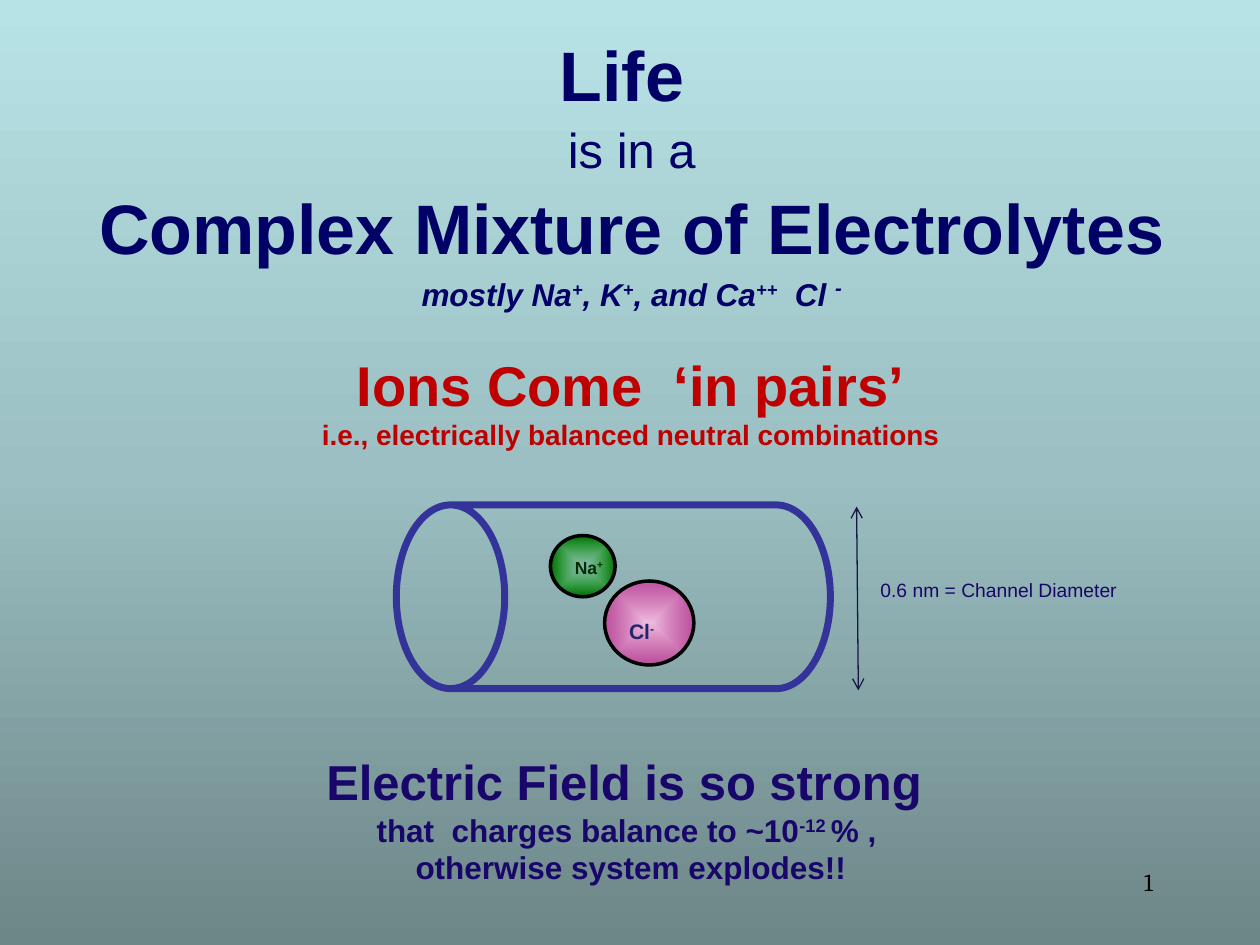
import pptx
import pptx.util
import pptx.dml.color
import pptx.enum.shapes
import pptx.enum.text
import pptx.oxml
import pptx.oxml.ns

Pt = pptx.util.Pt
Shape = pptx.enum.shapes.MSO_SHAPE
Align = pptx.enum.text.PP_ALIGN
qn = pptx.oxml.ns.qn

NAVY, RED, INDIGO, BLACK = "000066", "BE0000", "19066A", "000000"
BREAK = "\n"


def color(hex_string):
    return pptx.dml.color.RGBColor.from_string(hex_string)


def element(xml):
    """Parse a drawing element, adding the namespace to its root tag."""
    tag, rest = xml.split(" ", 1)
    return pptx.oxml.parse_xml(f"{tag} {pptx.oxml.ns.nsdecls('a')} {rest}")


def replace_with_gradient(parent, stops, direction):
    """Swap the first solid fill below parent for a gradient.

    Each stop is (position %, colour, opacity %).
    """
    stop_xml = "".join(
        f'<a:gs pos="{position * 1000}"><a:srgbClr val="{hex_string}">'
        f'<a:alpha val="{opacity * 1000}"/></a:srgbClr></a:gs>'
        for position, hex_string, opacity in stops
    )
    solid = parent.find(".//" + qn("a:solidFill"))
    gradient = element(
        f'<a:gradFill rotWithShape="1"><a:gsLst>{stop_xml}</a:gsLst>{direction}</a:gradFill>'
    )
    solid.getparent().replace(solid, gradient)


class SlideBuilder:
    font_name = "Arial"
    upward = '<a:lin ang="16200000" scaled="1"/>'
    from_center = (
        '<a:path path="shape">'
        '<a:fillToRect l="50000" t="50000" r="50000" b="50000"/></a:path>'
    )

    def __init__(self, slide):
        self.slide = slide

    def background(self, stops):
        self.slide.background.fill.solid()
        replace_with_gradient(self.slide.element, stops, self.upward)

    def text(self, box, paragraphs, base, align=Align.CENTER, line_spacing=None,
             wrap=True, margin_top=3.6):
        """Add a text box; runs are (text, changed formats), BREAK starts a new line."""
        shape = self.slide.shapes.add_textbox(*map(Pt, box))
        frame = shape.text_frame
        frame.word_wrap = wrap
        frame.margin_top = Pt(margin_top)
        for index, runs in enumerate(paragraphs):
            paragraph = frame.add_paragraph() if index else frame.paragraphs[0]
            paragraph.alignment = align
            paragraph.line_spacing = line_spacing
            for item in runs:
                if item == BREAK:
                    paragraph.add_line_break()
                else:
                    self.run(paragraph, item[0], {**base, **item[1]})

    def run(self, paragraph, text, formats):
        run = paragraph.add_run()
        run.text = text
        values = {"name": self.font_name, **formats}
        run.font.color.rgb = color(values.pop("color"))
        run.font.size = Pt(values.pop("size"))
        if values.pop("superscript", False):
            run.font._element.set("baseline", "30000")
        for name, value in values.items():
            setattr(run.font, name, value)

    def outlined(self, kind, box, line_color, line_width):
        shape = self.slide.shapes.add_shape(kind, *map(Pt, box))
        shape.shadow.inherit = False
        shape.line.color.rgb = color(line_color)
        shape.line.width = Pt(line_width)
        shape.fill.background()
        return shape

    def ion(self, box, stops):
        shape = self.outlined(Shape.OVAL, box, BLACK, 2)
        shape.fill.solid()
        replace_with_gradient(shape.element.spPr, stops, self.from_center)

    def channel(self, box):
        shape = self.outlined(Shape.CAN, box, "333399", 4)
        shape.rotation = 270
        shape.adjustments[0] = 0.59

    def double_arrow(self, start, end, line_color, line_width):
        connector = self.slide.shapes.add_connector(
            pptx.enum.shapes.MSO_CONNECTOR.STRAIGHT, *map(Pt, start + end)
        )
        connector.line.color.rgb = color(line_color)
        connector.line.width = Pt(line_width)
        outline = connector.line._get_or_add_ln()
        for tag in ("headEnd", "tailEnd"):
            outline.append(element(f'<a:{tag} type="arrow"/>'))
        connector.element.spPr.append(element("<a:effectLst />"))


def main():
    presentation = pptx.Presentation()
    presentation.slide_width, presentation.slide_height = Pt(720), Pt(540)
    builder = SlideBuilder(presentation.slides.add_slide(presentation.slide_layouts[6]))
    builder.background([(0, "6D8688", 100), (50, "9BBFC2", 100), (100, "B8E3E6", 100)])

    raised = {"superscript": True}
    builder.text((516, 492, 150, 36), [[("1", {})]],
                 {"name": "Cambria", "size": 14, "color": BLACK}, Align.RIGHT)

    electrolytes = [
        ("mostly Na", {}), ("+", raised), (", K", {}), ("+", raised),
        (", and Ca", {}), ("++", raised), ("  Cl ", {}), ("-", {"size": 20, **raised}),
    ]
    small_italic = {"size": 18, "italic": True}
    builder.text(
        (10, 11, 702, 167),
        [
            [("Life ", {}), BREAK, ("is in a", {"size": 28, "bold": False}), BREAK,
             ("Complex Mixture of Electrolytes", {})],
            [(text, {**small_italic, **formats}) for text, formats in electrolytes],
        ],
        {"size": 40, "color": NAVY, "bold": True}, line_spacing=1.07,
    )
    builder.text(
        (22, 194, 677, 65.5),
        [[("Ions Come  ‘in pairs’", {}), BREAK,
          ("i.e., electrically balanced neutral combinations", {"size": 16})]],
        {"size": 32, "color": RED, "bold": True}, margin_top=6,
    )
    builder.text(
        (75, 423, 571, 85),
        [[("Electric Field is so strong ", {"size": 28}), BREAK,
          ("that  charges balance to ~10", {}), ("-12 ", raised), ("% , ", {}), BREAK,
          ("otherwise system explodes!!", {})]],
        {"size": 18, "color": INDIGO, "bold": True}, margin_top=6.6,
    )

    builder.ion((345.5, 332, 51, 48), [(0, "EFBFDF", 100), (100, "CC3399", 75)])
    builder.text(
        (350.5, 314.5, 44.5, 60.5),
        [[("Cl", {}), ("-", raised), (" ", {"size": 44})]],
        {"size": 12, "color": "24246E", "bold": True}, margin_top=7,
    )
    builder.channel((298, 217, 105, 248))
    builder.ion((314.5, 306, 37, 35), [(0, "00BC00", 4), (100, "006C00", 100)])
    builder.text((304, 314.5, 65, 29), [[("Na", {}), ("+", raised)]],
                 {"size": 10, "color": "002E00", "bold": True})
    builder.double_arrow((490.5, 394.5), (489.5, 289.5), "171745", 0.75)
    builder.text((496, 327, 150.5, 21), [[("0.6 nm = Channel Diameter", {})]],
                 {"size": 11, "color": INDIGO}, Align.LEFT, wrap=False)

    presentation.save("out.pptx")


if __name__ == "__main__":
    main()
